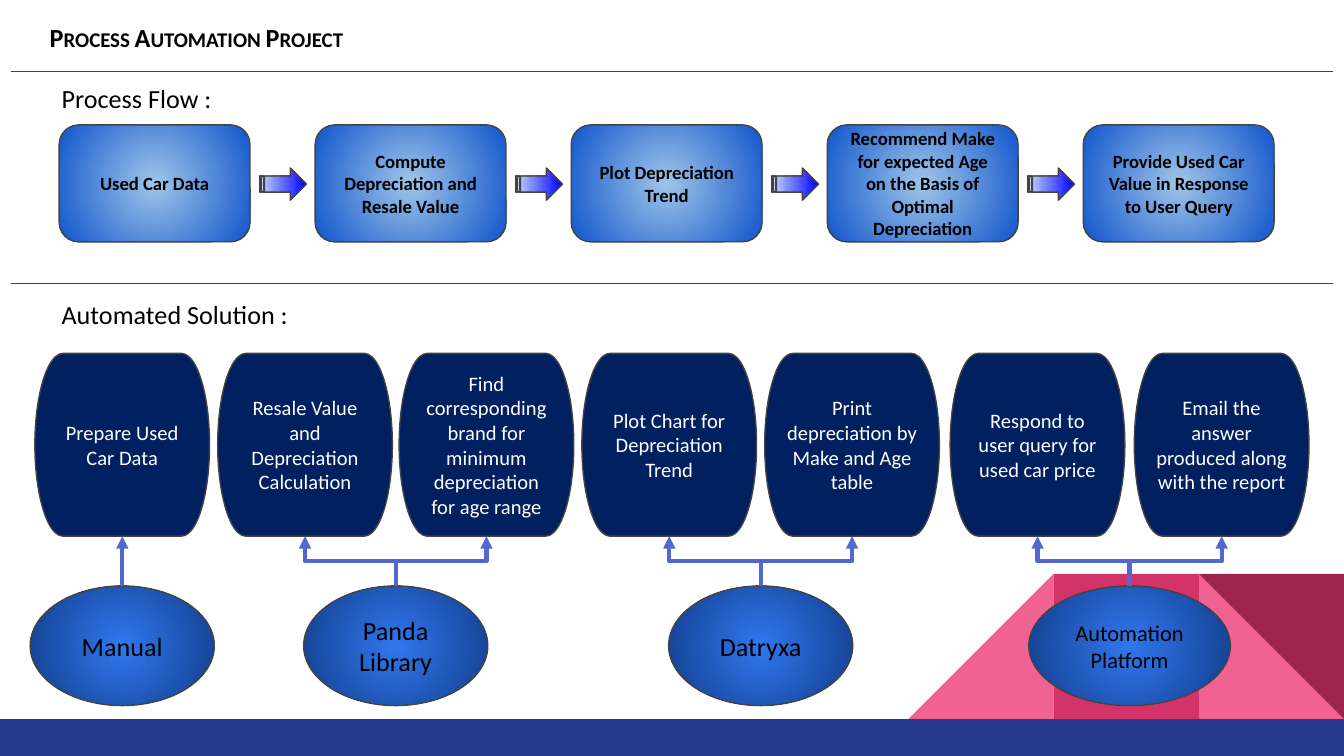
from lxml import etree
from pptx import Presentation
from pptx.dml.color import RGBColor
from pptx.enum.shapes import MSO_CONNECTOR, MSO_SHAPE
from pptx.enum.text import MSO_ANCHOR, MSO_AUTO_SIZE, PP_ALIGN
from pptx.oxml.ns import qn
from pptx.util import Inches, Pt

STRAIGHT, ELBOW = MSO_CONNECTOR.STRAIGHT, MSO_CONNECTOR.ELBOW
RECTANGLE, TRIANGLE = MSO_SHAPE.RECTANGLE, MSO_SHAPE.RIGHT_TRIANGLE
ROUNDED, ARROW = MSO_SHAPE.ROUNDED_RECTANGLE, MSO_SHAPE.STRIPED_RIGHT_ARROW
TERMINATOR, OVAL = MSO_SHAPE.FLOWCHART_TERMINATOR, MSO_SHAPE.FLOWCHART_CONNECTOR
TOP, MIDDLE = MSO_ANCHOR.TOP, MSO_ANCHOR.MIDDLE
LEFT, CENTER = PP_ALIGN.LEFT, PP_ALIGN.CENTER
NO_AUTOFIT = MSO_AUTO_SIZE.NONE

# Widescreen, 16 to 9
WIDTH = 10
HEIGHT = WIDTH * 9 / 16
OUTLINE, LINK = "434343", "5467CF"

FLOW = [
    "Used Car Data",
    "Compute Depreciation and Resale Value",
    "Plot Depreciation Trend",
    "Recommend Make for expected Age on the Basis of Optimal Depreciation",
    "Provide Used Car Value in Response to User Query",
]
# Step text and its distance from the left end of the row
STEPS = [
    ("Prepare Used Car Data", 0),
    ("Resale Value and Depreciation Calculation", 1.36),
    ("Find corresponding brand for minimum depreciation for age range", 2.71),
    ("Plot Chart for Depreciation Trend", 4.07),
    ("Print depreciation by Make and Age table", 5.43),
    ("Respond to user query for used car price", 6.81),
    ("Email the answer produced along with the report", 8.18),
]
# Tool name, the steps it carries out, oval width, text size
TOOLS = [
    ("Manual", [0], 1.37, 14),
    ("Panda Library", [1, 2], 1.37, 14),
    ("Datryxa", [3, 4], 1.37, 14),
    ("Automation Platform", [5, 6], 1.5, 12),
]


def color(value):
    return RGBColor.from_string(value)


def write(shape, text, size, ink="000000", bold=False, align=CENTER, anchor=MIDDLE):
    frame = shape.text_frame
    frame.word_wrap, frame.auto_size = True, NO_AUTOFIT
    frame.vertical_anchor = anchor
    frame.margin_left = frame.margin_right = Inches(0.1)
    frame.margin_top = frame.margin_bottom = Inches(0.1)
    paragraph = frame.paragraphs[0]
    paragraph.alignment = align
    run = paragraph.add_run()
    run.text = text
    run.font.name, run.font.size, run.font.bold = "Calibri", Pt(size), bold
    run.font.color.rgb = color(ink)
    return run


def add_label(slide, text, left, top, width, height):
    box = slide.shapes.add_textbox(*map(Inches, (left, top, width, height)))
    write(box, text, 14, align=LEFT, anchor=TOP)


def add_block(slide, kind, left, top, width, height, fill, outline=OUTLINE):
    """Add a shape; a pair of colours as fill makes a gradient."""
    block = slide.shapes.add_shape(kind, *map(Inches, (left, top, width, height)))
    block.shadow.inherit = False
    if isinstance(fill, str):
        block.fill.solid()
        block.fill.fore_color.rgb = color(fill)
    else:
        block.fill.gradient()
        block.fill.gradient_angle = 180
        for stop, shade in zip(block.fill.gradient_stops, fill):
            stop.color.rgb = color(shade)
    if outline:
        block.line.color.rgb = color(outline)
        block.line.width = Pt(0.75)
    else:
        block.line.fill.background()
    return block


def make_radial(block):
    gradient = block._element.spPr.find(qn("a:gradFill"))
    gradient.remove(gradient.find(qn("a:lin")))
    circle = etree.SubElement(gradient, qn("a:path"), path="circle")
    etree.SubElement(circle, qn("a:fillToRect"), l="50000", t="50000", r="50000", b="50000")


def add_line(slide, kind, x1, y1, x2, y2, ink, weight, arrow=False):
    line = slide.shapes.add_connector(kind, *map(Inches, (x1, y1, x2, y2)))
    line.line.color.rgb = color(ink)
    line.line.width = Pt(weight)
    if arrow:
        etree.SubElement(line.line._get_or_add_ln(), qn("a:tailEnd"), type="triangle")
    etree.SubElement(line._element.spPr, qn("a:effectLst"))
    return line


def add_riser(slide, x1, y1, x2, y2):
    """Add an elbow arrow that leaves and arrives vertically."""
    riser = add_line(slide, ELBOW, x1, y1, x2, y2, LINK, 2.25, arrow=True)
    rise, run = y1 - y2, abs(x2 - x1)
    riser.left, riser.top = Inches((x1 + x2 - rise) / 2), Inches((y1 + y2 - run) / 2)
    riser.width, riser.height = Inches(rise), Inches(run)
    xfrm = riser._element.spPr.find(qn("a:xfrm"))
    xfrm.set("rot", str((270 if x2 > x1 else 90) * 60000))
    xfrm.set("flipH", "0" if x2 > x1 else "1")
    xfrm.set("flipV", "0")


def add_backdrop(slide, left, top, side):
    right = left + 2 * side
    add_block(slide, TRIANGLE, right, top, side, side, "F06292", None)
    slope = add_block(slide, TRIANGLE, left, top, side, side, "F06292", None)
    slope._element.spPr.find(qn("a:xfrm")).set("flipH", "1")
    add_block(slide, RECTANGLE, left + side, top, side, side, "D23369", None)
    add_block(slide, TRIANGLE, right, top, side, side, "9C254D", None).rotation = 180
    add_block(slide, RECTANGLE, 0, top + side, WIDTH, HEIGHT - top - side, "2A3990", None)


def add_title(slide, text, left, top, width, height):
    title = slide.shapes.title
    title.left, title.top = Inches(left), Inches(top)
    title.width, title.height = Inches(width), Inches(height)
    run = write(title, text, 14, bold=True, align=LEFT, anchor=TOP)
    run.font._element.set("cap", "small")


def add_process_flow(slide, left, top):
    pitch, width, height = 1.905, 1.42, 0.87
    add_label(slide, "Process Flow :", left - 0.08, top - 0.42, 1.58, 0.24)
    for i, text in enumerate(FLOW):
        x = left + i * pitch
        stage = add_block(slide, ROUNDED, x, top, width, height, ("9FC5E8", "1155CC"))
        make_radial(stage)
        write(stage, text, 10, bold=True)
        if i < len(FLOW) - 1:
            add_block(slide, ARROW, x + 1.49, top + 0.32, 0.35, 0.24, ("0000FF", "C9DAF8"))


def add_solution(slide, left, top):
    width, height = 1.3, 1.36
    tool_top = top + 1.73
    add_label(slide, "Automated Solution :", left + 0.1, top - 0.51, 2.38, 0.36)

    # Automated steps
    steps = []
    for text, offset in STEPS:
        step = add_block(slide, TERMINATOR, left + offset, top, width, height, "002060")
        write(step, text, 11, ink="FFFFFF")
        steps.append(step)

    # Each tool is centred under its steps and linked to them
    for name, served, tool_width, size in TOOLS:
        centers = [left + STEPS[i][1] + width / 2 for i in served]
        middle = sum(centers) / len(centers)
        tool = add_block(slide, OVAL, middle - tool_width / 2, tool_top,
                         tool_width, 0.89, ("3177EE", "113D8A"))
        make_radial(tool)
        write(tool, name, size)
        if len(served) == 1:
            link = add_line(slide, STRAIGHT, middle, tool_top, middle, top + height,
                            LINK, 2.25, arrow=True)
            link.begin_connect(tool, 0)
            link.end_connect(steps[served[0]], 2)
        else:
            for x in centers:
                add_riser(slide, middle, tool_top, x, top + height)


def main():
    deck = Presentation()
    deck.slide_width, deck.slide_height = Inches(WIDTH), Inches(HEIGHT)
    slide = deck.slides.add_slide(deck.slide_layouts[5])
    add_backdrop(slide, 6.76, 4.27, 1.08)
    add_title(slide, "Process Automation Project", 0.27, 0.06, 5.08, 0.34)
    for y in (0.53, 2.11):
        add_line(slide, STRAIGHT, 0.08, y, 9.92, y, OUTLINE, 0.75)
    add_process_flow(slide, 0.44, 0.93)
    add_solution(slide, 0.26, 2.63)
    deck.save("out.pptx")


if __name__ == "__main__":
    main()
